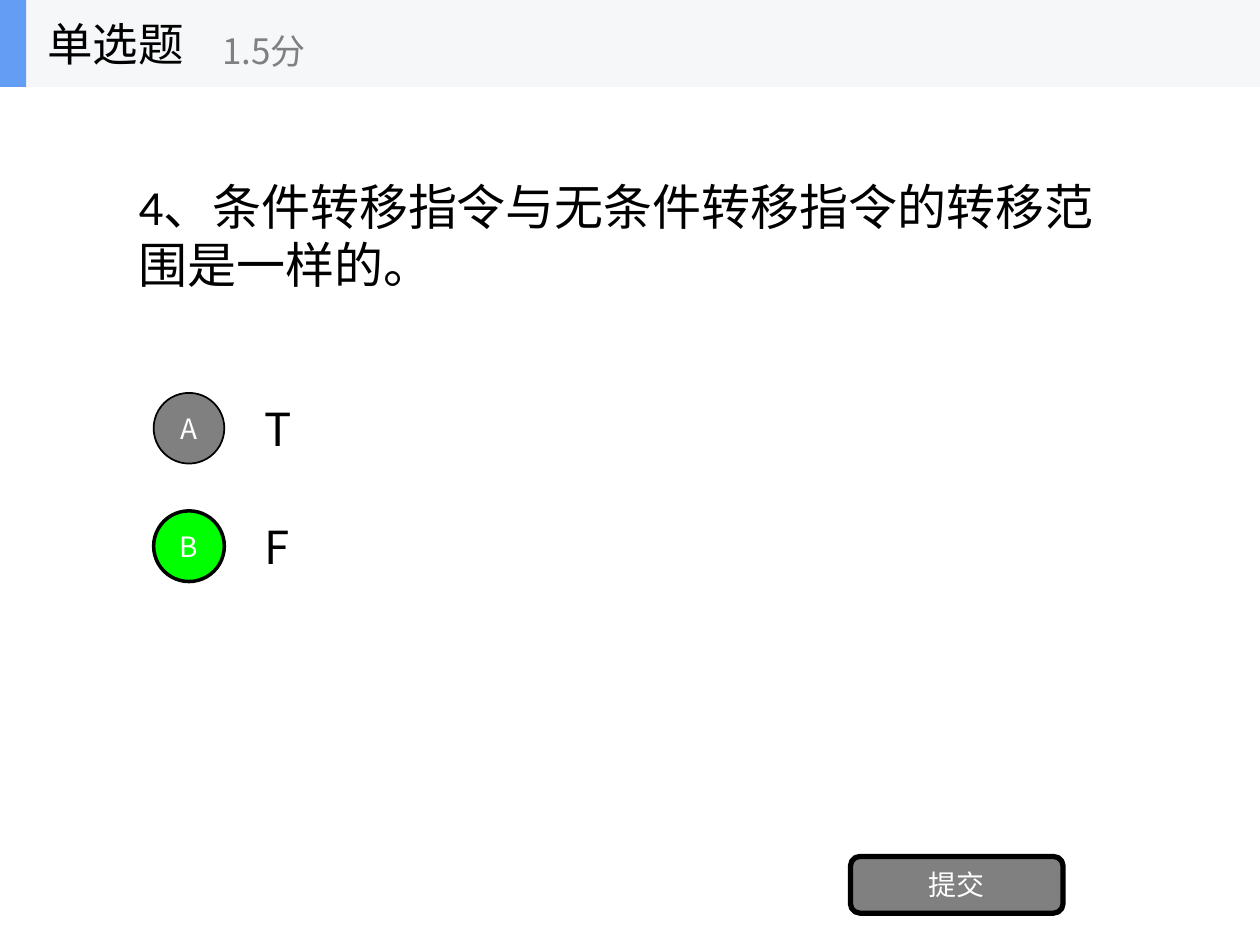
from lxml import etree
from pptx import Presentation
from pptx.dml.color import RGBColor
from pptx.enum.shapes import MSO_SHAPE
from pptx.enum.text import MSO_ANCHOR, MSO_AUTO_SIZE, PP_ALIGN
from pptx.oxml.ns import qn
from pptx.util import Pt

RECT, OVAL = MSO_SHAPE.RECTANGLE, MSO_SHAPE.OVAL
ROUNDED = MSO_SHAPE.ROUNDED_RECTANGLE
MIDDLE = MSO_ANCHOR.MIDDLE
LEFT, CENTER = PP_ALIGN.LEFT, PP_ALIGN.CENTER
NO_FIT = MSO_AUTO_SIZE.NONE
TITLE_ONLY = 5
CJK_FONT = "Noto Sans CJK SC"
BLACK, WHITE, GREY, GREEN = "000000", "FFFFFF", "808080", "00FF00"


def color(hex_text):
    return RGBColor.from_string(hex_text)


def set_text(sp, text, size, hex_text, align=LEFT, font=CJK_FONT):
    tf = sp.text_frame
    tf.text = text
    tf.word_wrap = True
    tf.auto_size = NO_FIT
    tf.vertical_anchor = MIDDLE
    p = tf.paragraphs[0]
    p.alignment = align
    r = p.runs[0]
    r.font.size = Pt(size)
    r.font.name = font
    r.font.color.rgb = color(hex_text)
    # East Asian glyphs need their own font entry
    ea = etree.Element(qn("a:ea"), typeface=CJK_FONT)
    r.font._element.find(qn("a:latin")).addnext(ea)


def add_label(shapes, box, text, size, hex_text):
    sp = shapes.add_textbox(*map(Pt, box))
    set_text(sp, text, size, hex_text)


def add_block(shapes, kind, box, fill, line_width=0):
    sp = shapes.add_shape(kind, *map(Pt, box))
    sp.shadow.inherit = False
    sp.fill.solid()
    sp.fill.fore_color.rgb = color(fill)
    if line_width:
        sp.line.color.rgb = color(BLACK)
        sp.line.width = Pt(line_width)
    else:
        sp.line.fill.background()
    return sp


def add_question(s, box, text):
    sp = s.shapes.title
    sp.left, sp.top, sp.width, sp.height = map(Pt, box)
    set_text(sp, text, 28, BLACK, font="Calibri")


def add_option(s, box, letter, text, fill, line_width):
    x, y, w, h = box
    d, text_x = 40.4, 56.2
    add_label(s.shapes, (x + text_x, y, w - text_x, h), text, 26, BLACK)
    badge = add_block(s.shapes, OVAL, (x, y + (h - d) / 2, d, d), fill, line_width)
    set_text(badge, letter, 16, WHITE, CENTER)


def add_submit_button(s, box, text):
    button = add_block(s.shapes, ROUNDED, box, GREY, 3)
    button.adjustments[0] = 0.167
    set_text(button, text, 16, WHITE, CENTER)


def add_header(s, box, kind, score):
    x, y, w, h = box
    shapes = s.shapes.add_group_shape().shapes
    add_block(shapes, RECT, box, "F6F7F8")
    add_block(shapes, RECT, (x, y, 15, h), "639EF4")
    add_label(shapes, (x + 20, y, 150, h), kind, 26, BLACK)
    add_label(shapes, (x + 120, y + 9, 180, h - 9.5), score, 20, GREY)


def main():
    prs = Presentation()
    prs.slide_width, prs.slide_height = Pt(720), Pt(540)
    s = prs.slides.add_slide(prs.slide_layouts[TITLE_ONLY])

    # Question
    add_question(s, (72, 50, 576, 168.5),
                 "4、条件转移指令与无条件转移指令的转移范围是一样的。")

    # Answer options, the right one in green
    options = [("A", "T", GREY, 1), ("B", "F", GREEN, 2)]
    for i, option in enumerate(options):
        add_option(s, (87.8, 219.4 + i * 67.4, 560.2, 50.6), *option)

    # Submit button and header band
    add_submit_button(s, (486, 489.4, 121.5, 32.4), "提交")
    add_header(s, (0, 0, 720, 49.7), "单选题", "1.5分")

    prs.save("out.pptx")


if __name__ == "__main__":
    main()
